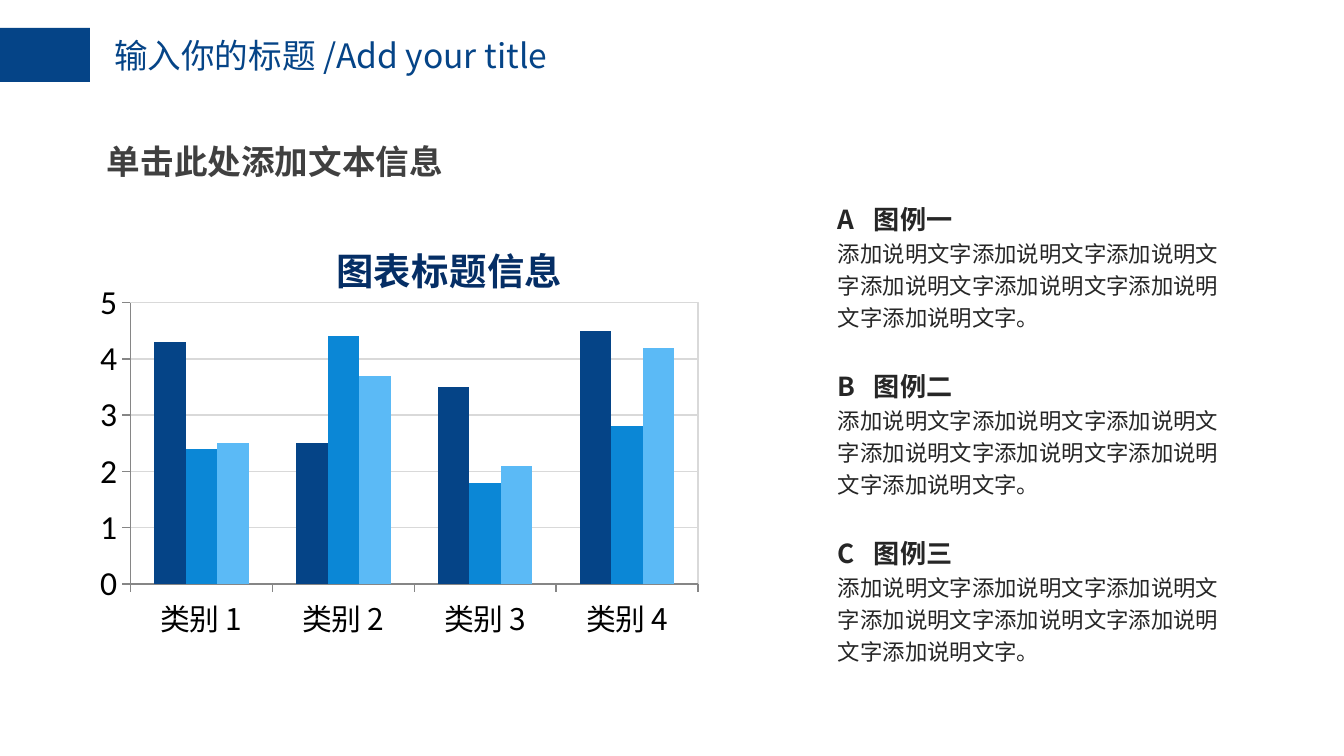
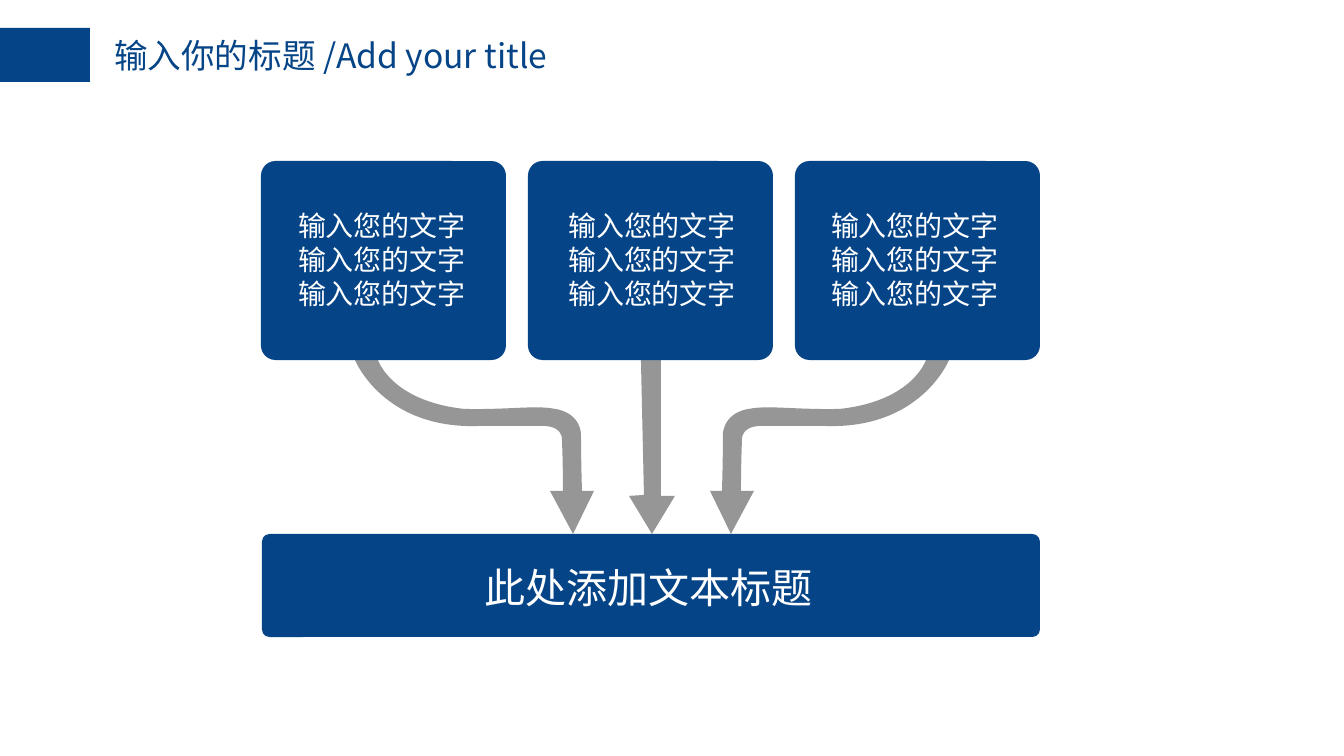
from lxml import etree
from pptx import Presentation
from pptx.chart.data import CategoryChartData
from pptx.dml.color import RGBColor
from pptx.enum.chart import XL_CHART_TYPE, XL_TICK_MARK
from pptx.enum.shapes import MSO_SHAPE
from pptx.enum.text import MSO_AUTO_SIZE, PP_ALIGN
from pptx.oxml import parse_xml
from pptx.oxml.ns import nsdecls, qn
from pptx.util import Pt

PX = 914400 / 134.4
CJK = "Noto Sans CJK SC"
COLORS = {
    "navy": "054487", "blue": "0B87D6", "sky": "5BBAF6", "chart_title": "052E65",
    "heading": "404040", "body": "262626", "arrow": "969696", "grid": "D9D9D9",
    "axis": "868686", "white": "FFFFFF", "black": "000000",
}
RGB = {name: RGBColor.from_string(value) for name, value in COLORS.items()}


def style(font, color, **values):
    """Apply format values, with the CJK face for East Asian characters."""
    font.color.rgb = RGB[color]
    for key, value in values.items():
        setattr(font, key, value)
    etree.SubElement(font._rPr, qn("a:ea")).set("typeface", CJK)


def add_text(slide, place, lines, inset=(13, 7), align=None, spacing=None, grow=True):
    """Add a text box; each line is a text with its format values."""
    box = slide.shapes.add_textbox(*(round(v * PX) for v in place))
    frame = box.text_frame
    side, end = (round(v * PX) for v in inset)
    layout = {
        "word_wrap": True,
        "auto_size": MSO_AUTO_SIZE.SHAPE_TO_FIT_TEXT if grow else MSO_AUTO_SIZE.NONE,
        "margin_left": side, "margin_right": side,
        "margin_top": end, "margin_bottom": end,
    }
    for key, value in layout.items():
        setattr(frame, key, value)
    for i, (text, values) in enumerate(lines):
        paragraph = frame.add_paragraph() if i else frame.paragraphs[0]
        paragraph.alignment = align
        paragraph.line_spacing = spacing
        if "\t" in text:
            paragraph._p.get_or_add_pPr().append(parse_xml(
                f'<a:tabLst {nsdecls("a")}><a:tab pos="{round(36 * PX)}" algn="l"/></a:tabLst>'))
        run = paragraph.add_run()
        run.text = text
        style(run.font, **values)


prs = Presentation()
prs.slide_width, prs.slide_height = round(1344 * PX), round(756 * PX)
chart_slide, flow_slide = (prs.slides.add_slide(prs.slide_layouts[6]) for _ in range(2))
solid_shapes = []

# Shared title band
title_format = {"color": "navy", "size": Pt(18), "name": CJK}
for slide in (chart_slide, flow_slide):
    band = slide.shapes.add_shape(
        MSO_SHAPE.RECTANGLE, *(round(v * PX) for v in (0, 28, 90, 54)))
    solid_shapes.append((band, "navy"))
    add_text(slide, (101, 28, 560, 95), [("输入你的标题 /Add your title", title_format)])

# Slide 1: column chart
data = CategoryChartData()
data.categories = [f"类别 {n}" for n in range(1, 5)]
for name, values in {
    "Series 1": (4.3, 2.5, 3.5, 4.5),
    "Series 2": (2.4, 4.4, 1.8, 2.8),
    "Series 3": (2.5, 3.7, 2.1, 4.2),
}.items():
    data.add_series(name, values)
chart = chart_slide.shapes.add_chart(
    XL_CHART_TYPE.COLUMN_CLUSTERED, *(round(v * PX) for v in (74, 218, 762, 441)), data).chart
chart.has_legend = False
style(chart.font, "black", size=Pt(18), name="Calibri")

plot = chart.plots[0]
for key, value in {"gap_width": 150, "overlap": 0, "vary_by_categories": False}.items():
    setattr(plot, key, value)
for series, color in zip(plot.series, ("navy", "blue", "sky")):
    series.format.fill.solid()
    series.format.fill.fore_color.rgb = RGB[color]

# Chart axes and gridlines
categories, scale = chart.category_axis, chart.value_axis
style(categories.tick_labels.font, "black", size=Pt(16), name=CJK)
scale.minimum_scale, scale.maximum_scale, scale.major_unit = 0, 5, 1
scale.has_major_gridlines = True
for axis in (categories, scale):
    axis.major_tick_mark = XL_TICK_MARK.OUTSIDE
for line, color in ((categories.format.line, "axis"), (scale.format.line, "axis"),
                    (scale.major_gridlines.format.line, "grid")):
    line.color.rgb = RGB[color]
    line.width = Pt(0.75)

# Chart title
chart.has_title = True
chart_title = chart.chart_title
chart_title.include_in_layout = False
title_run = chart_title.text_frame.paragraphs[0].add_run()
title_run.text = "图表标题信息"
style(title_run.font, "chart_title", size=Pt(20), bold=True, name=CJK)

# Places of chart title and plot, and the frame around the plot
plot_area = chart._chartSpace.chart.plotArea
for parent, values, index in (
    (chart_title._element, {"xMode": "edge", "yMode": "edge", "x": 0.335, "y": 0.03}, 1),
    (plot_area, {"layoutTarget": "inner", "xMode": "edge", "yMode": "edge",
                 "x": 0.074, "y": 0.192, "w": 0.745, "h": 0.638}, 0),
):
    for old in parent.findall(qn("c:layout")):
        parent.remove(old)
    layout = etree.Element(qn("c:layout"))
    manual = etree.SubElement(layout, qn("c:manualLayout"))
    for key, value in values.items():
        etree.SubElement(manual, qn(f"c:{key}")).set("val", str(value))
    parent.insert(index, layout)
plot_area.append(parse_xml(
    f'<c:spPr {nsdecls("c", "a")}><a:noFill/><a:ln w="9525"><a:solidFill>'
    f'<a:srgbClr val="{COLORS["grid"]}"/></a:solidFill></a:ln></c:spPr>'))

# Heading and legend notes
add_text(chart_slide, (94, 134, 391, 54), [
    ("单击此处添加文本信息", {"color": "heading", "size": Pt(18), "bold": True, "name": CJK})])
note_heading = {"color": "body", "size": Pt(14), "bold": True, "name": CJK}
note_body = {"color": "body", "size": Pt(12), "bold": False, "name": CJK}
for i, heading in enumerate(("A\t图例一", "B\t图例二", "C\t图例三")):
    add_text(chart_slide, (825, 190 + 167 * i, 423, 153),
             [(heading, note_heading), ("添加说明文字" * 7 + "。", note_body)],
             spacing=1.2, grow=False)

# Slide 2: result bar
bar = flow_slide.shapes.add_shape(
    MSO_SHAPE.ROUNDED_RECTANGLE, *(round(v * PX) for v in (262, 534, 778, 103)))
bar.adjustments[0] = 0.073
solid_shapes.append((bar, "navy"))

# Arrow outlines: one point is a line, three points are a curve
bent = [
    [(355, 360)],
    [(355, 360), (383, 430), (480, 426)],
    [(511, 426), (543, 426), (543, 426)],
    [(543, 426), (563, 425), (562, 441)],
    [(563, 465), (563, 491), (563, 491)],
    [(550, 491)], [(573, 534)], [(594, 491)], [(582, 491)],
    [(582, 491), (581, 462), (581, 433)],
    [(578, 411), (555, 409), (555, 409)],
    [(536, 405), (509, 410), (464, 409)],
    [(391, 401), (378, 360), (378, 360)],
]
straight = [[point] for point in (
    (641, 360), (644, 495), (629, 496), (652, 534), (675, 496), (661, 496), (661, 360))]
mirrored = [[(1304 - x, y) for x, y in segment] for segment in bent]

# Cards, each with its arrow down to the bar
card_format = {"color": "white", "size": Pt(15), "name": CJK}
for i, (outline, text_left) in enumerate(zip((bent, straight, mirrored), (288, 558, 821))):
    points = [point for segment in outline for point in segment]
    builder = flow_slide.shapes.build_freeform(*points[0], scale=PX)
    builder.add_line_segments(points[1:], close=True)
    arrow = builder.convert_to_shape()
    steps = iter(list(arrow._element.iter(qn("a:lnTo"))))
    for segment in outline[1:]:
        group = [next(steps) for _ in segment]
        if len(group) == 3:
            curve = etree.Element(qn("a:cubicBezTo"))
            group[0].addprevious(curve)
            for step in group:
                curve.append(step[0])
                step.getparent().remove(step)
    solid_shapes.append((arrow, "arrow"))

    card = flow_slide.shapes.add_shape(
        MSO_SHAPE.ROUNDED_RECTANGLE, *(round(v * PX) for v in (261 + 267 * i, 161, 245, 199)))
    card.adjustments[0] = 0.073
    solid_shapes.append((card, "navy"))
    add_text(flow_slide, (text_left, 204, 210, 114),
             [("输入您的文字", card_format)] * 3, inset=(10, 5))

# Bar title
add_text(flow_slide, (437, 558, 423, 62),
         [("此处添加文本标题", {"color": "white", "size": Pt(22), "name": "Calibri"})],
         inset=(12, 5), align=PP_ALIGN.CENTER)

# Flat look for every solid shape
for shape, color in solid_shapes:
    shape.shadow.inherit = False
    shape.fill.solid()
    shape.fill.fore_color.rgb = RGB[color]
    shape.line.fill.background()

prs.save("out.pptx")
